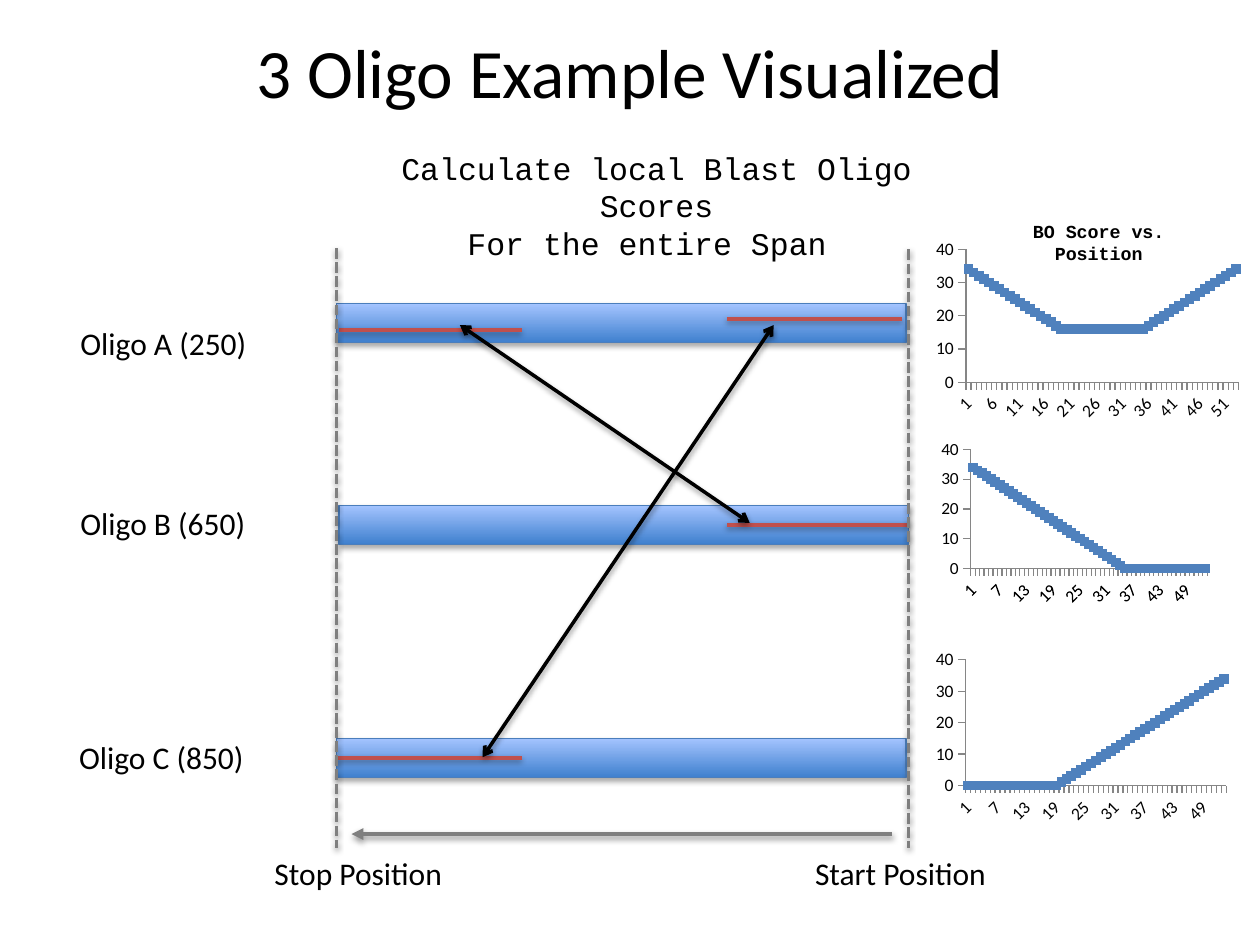
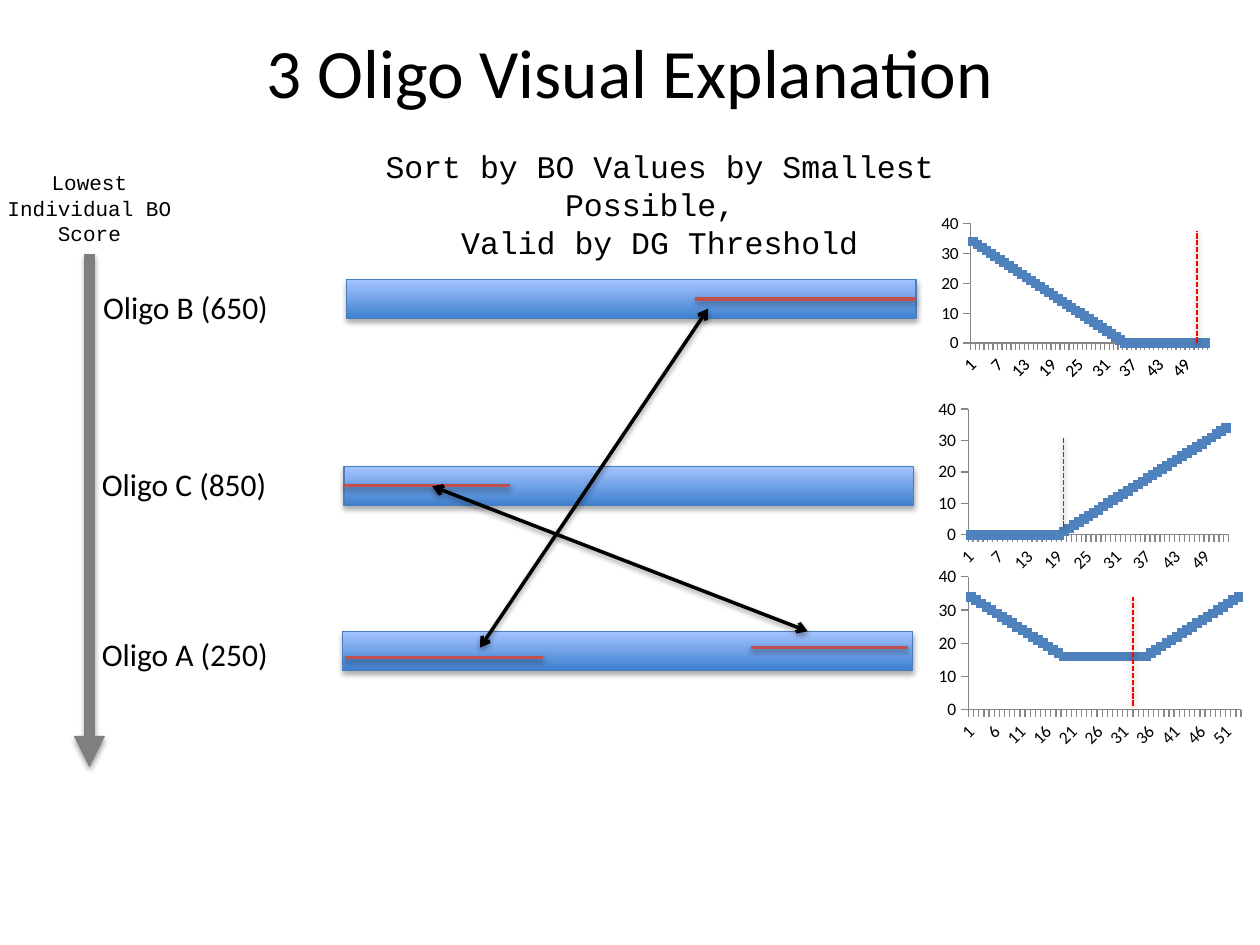
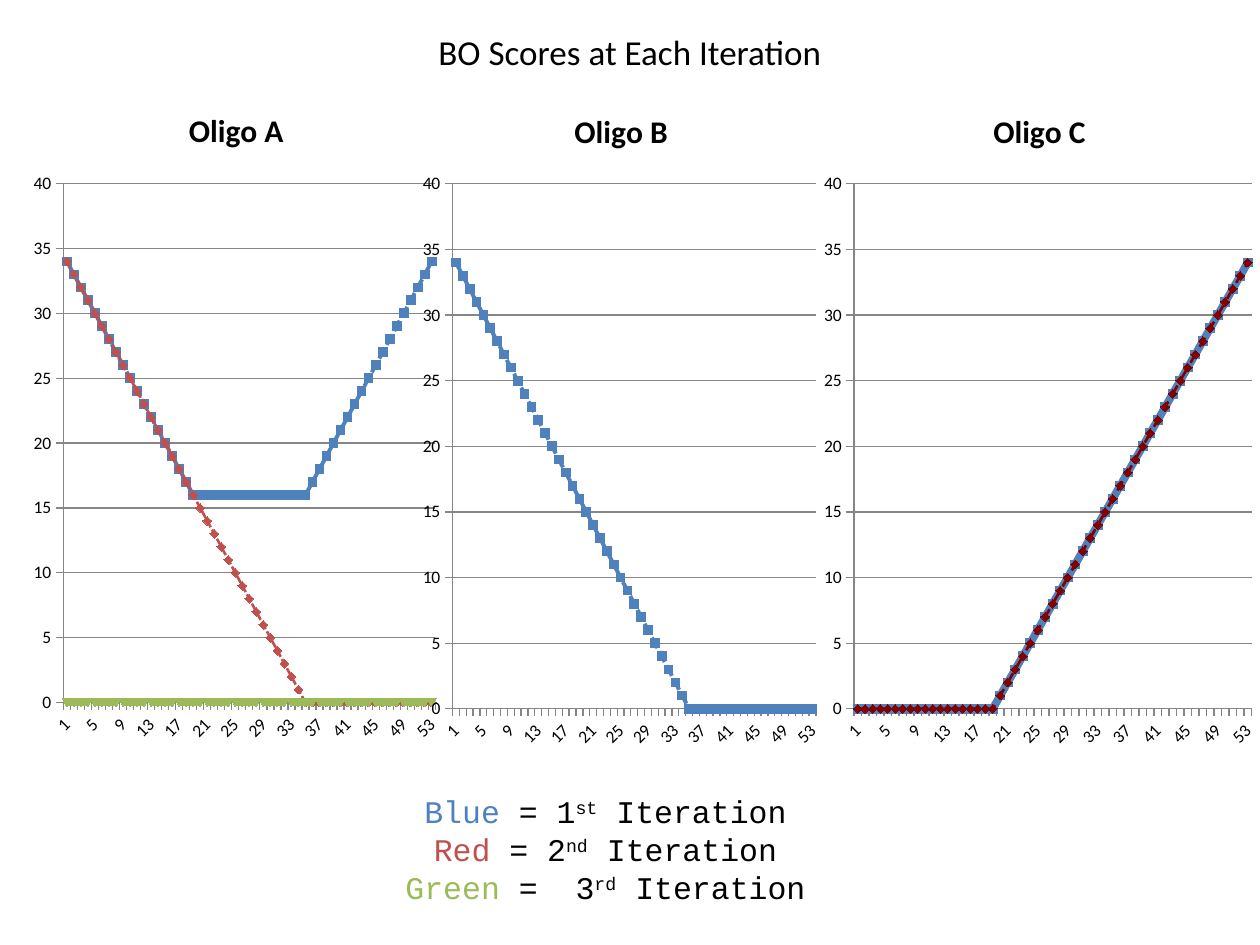
from dataclasses import dataclass
from lxml import etree
from pptx import Presentation
from pptx.chart.data import CategoryChartData
from pptx.dml.color import RGBColor
from pptx.enum.chart import XL_CHART_TYPE, XL_TICK_MARK
from pptx.enum.dml import MSO_LINE
from pptx.enum.shapes import MSO_CONNECTOR, MSO_SHAPE
from pptx.enum.text import MSO_ANCHOR, MSO_AUTO_SIZE, PP_ALIGN
from pptx.oxml.ns import qn
from pptx.util import Inches, Pt

LINE = XL_CHART_TYPE.LINE
OUT, NONE = XL_TICK_MARK.OUTSIDE, XL_TICK_MARK.NONE
DOTS, DASH = MSO_LINE.SQUARE_DOT, MSO_LINE.DASH
STRAIGHT, RECT = MSO_CONNECTOR.STRAIGHT, MSO_SHAPE.RECTANGLE
LEFT, MID = PP_ALIGN.LEFT, PP_ALIGN.CENTER
WEST, EAST = 1, 3


@dataclass(frozen=True)
class Theme:
    sans: str = "Calibri"
    mono: str = "Courier New"
    ink: str = "000000"
    gray: str = "7F7F7F"
    axis: str = "868686"
    blue: str = "4F81BD"
    red: str = "C0504D"
    green: str = "9BBB59"
    wine: str = "800000"
    mark: str = "FF0000"
    edge: str = "4B7EBC"
    deep: str = "3F80CE"
    pale: str = "A4C4FF"
    head: float = 39.6
    sub: float = 20
    body: float = 18
    note: float = 12
    tag: float = 10.5
    tick: float = 10


T = Theme()
WIDE, HIGH = 10, 7.5
COLS = 100
CELL = WIDE / COLS
BAR = (45.2, 3.1)
LABEL = (15.3, 4)
TITLE = (5, 1.7, 90, 7.9)

FALL = [max(34 - i, 0) for i in range(53)]
RISE = FALL[::-1]
DIP = [max(16, a, b) for a, b in zip(FALL, RISE)]
ZERO = [0] * 53

OLIGOS = {
    "A": ("Oligo A (250)", DIP, (25, 15), None),
    "B": ("Oligo B (650)", FALL, (22, 13.2), (0.1, 0.06, 0.86, 0.74)),
    "C": ("Oligo C (850)", RISE, (24, 14.4), None),
}

VISUAL = {
    "title": "3 Oligo Example Visualized",
    "note": ((27.5, 11.3, 49.2, 7.1), ["Calculate local Blast Oligo Scores", "For the entire Span "]),
    "bars": {"A": (26.7, 24.1), "B": (26.9, 40.1), "C": (26.7, 58.6)},
    "spans": [("A", 26.9, 41.4, 26.2, None), ("B", 57.7, 72.1, None, EAST),
              ("C", 26.7, 41.4, None, WEST), ("A", 57.7, 71.6, 25.3, None)],
    "links": [(61.4, 25.8, 38.3, 60.1), (36.5, 25.8, 59.5, 41.5)],
    "labels": {"A": (5.4, 25.2), "B": (5.4, 39.5), "C": (5.3, 58.1)},
    "charts": {"A": (73.8, 18.7), "B": (74.7, 34.9), "C": (73.8, 51.3)},
}

SORTED = {
    "title": "3 Oligo Visual Explanation",
    "note": ((24.3, 11.2, 56.1, 7.1), ["Sort by BO Values by Smallest Possible, ", "Valid by DG Threshold"]),
    "bars": {"A": (27.2, 50.1), "B": (27.5, 22.2), "C": (27.3, 37)},
    "spans": [("A", 27.4, 43.1, 52.2, None), ("B", 55.2, 72.7, None, EAST),
              ("C", 27.3, 40.5, None, WEST), ("A", 59.6, 72.1, 51.4, None)],
    "links": [(56.2, 24.5, 38.1, 51.4), (64.1, 50.1, 34.3, 38.6)],
    "labels": {"A": (7.1, 49.9), "B": (7.2, 22.4), "C": (7.1, 36.4)},
    "charts": {"A": (74, 44.7), "B": (74.7, 17), "C": (74, 31.4)},
}

ENDS = [("Start Position", (63.7, 67.3, 15.8, 4)), ("Stop Position", (20.8, 67.3, 15.5, 4))]
GUIDES = [(26.7, 19.7), (72.1, 19.8)]
MARKS = [(95, 27.2, 18.3), (84.4, 41.8, 34.7), (89.9, 56, 47.4)]

ROUNDS = [
    ("Oligo A", (2, 6.6, 33.5, 53.3), [
        ("Series 1", DIP, T.blue, 2.25, DOTS),
        ("Series 2", FALL, T.red, 1.5, DOTS),
        ("Series 3", ZERO, T.green, 4, DOTS)]),
    ("Oligo B", (32.9, 6.6, 32.8, 53.8), [("Series 1", FALL, T.blue, 2.25, DOTS)]),
    ("Oligo C", (64.7, 6.6, 35.6, 53.8), [
        ("Oligo C", RISE, T.blue, 4.5, None),
        ("Series 2", RISE, T.wine, 1.5, DASH)]),
]
KEY = [("Blue ", T.blue, "= 1", "st"), ("Red", T.red, " = 2", "nd"), ("Green", T.green, " =  3", "rd")]


def grid(*vals):
    return [Inches(v * CELL) for v in vals]


def rgb(code):
    return RGBColor.from_string(code)


def shade(item, alpha, dist):
    fx = etree.SubElement(item._element.spPr, qn("a:effectLst"))
    cast = etree.SubElement(fx, qn("a:outerShdw"), blurRad="40000", dist=str(dist),
                            dir="5400000", rotWithShape="0")
    ink = etree.SubElement(cast, qn("a:srgbClr"), val=T.ink)
    etree.SubElement(ink, qn("a:alpha"), val=str(alpha * 1000))


def pen(line, color, width, dash=None):
    line.color.rgb = rgb(color)
    line.width = Pt(width)
    if dash:
        line.dash_style = dash


def draw(slide, ends, color, width, dash=None, head=None, tail=None):
    item = slide.shapes.add_connector(STRAIGHT, *grid(*ends))
    pen(item.line, color, width, dash)
    for tag, kind in (("a:headEnd", head), ("a:tailEnd", tail)):
        if kind:
            etree.SubElement(item.line._get_or_add_ln(), qn(tag), type=kind)
    shade(item, 38, 20000)
    return item


def write(slide, box, lines, size, font=T.sans, align=LEFT, wrap=True, bold=False, grow=True):
    frame = slide.shapes.add_textbox(*grid(*box)).text_frame
    frame.word_wrap = wrap
    frame.auto_size = MSO_AUTO_SIZE.SHAPE_TO_FIT_TEXT if grow else MSO_AUTO_SIZE.NONE
    frame.vertical_anchor = MSO_ANCHOR.TOP if grow else MSO_ANCHOR.MIDDLE
    for i, runs in enumerate(lines):
        para = frame.paragraphs[0] if i == 0 else frame.add_paragraph()
        para.alignment = align
        for text, color, lift in [(runs, T.ink, False)] if isinstance(runs, str) else runs:
            run = para.add_run()
            run.text = text
            run.font.name, run.font.size, run.font.bold = font, Pt(size), bold
            run.font.color.rgb = rgb(color)
            if lift:
                run._r.get_or_add_rPr().set("baseline", "30000")


def head(slide, text, size=T.head, box=TITLE):
    write(slide, box, [text], size, align=MID, grow=False)


def place(chart, plot):
    area = chart._chartSpace.chart.plotArea
    old = area.find(qn("c:layout"))
    if old is not None:
        area.remove(old)
    lay = etree.Element(qn("c:layout"))
    area.insert(0, lay)
    man = etree.SubElement(lay, qn("c:manualLayout"))
    rules = [("layoutTarget", "inner"), ("xMode", "edge"), ("yMode", "edge")]
    for tag, val in rules + list(zip("xywh", plot)):
        etree.SubElement(man, qn("c:" + tag), val=str(val))


def plot(slide, box, series, step, title=None, inner=None):
    data = CategoryChartData()
    data.categories = [str(i + 1) for i in range(len(ZERO))]
    for name, vals, *_ in series:
        data.add_series(name, vals)
    chart = slide.shapes.add_chart(LINE, *grid(*box), data).chart
    chart.has_legend = False
    chart.font.name, chart.font.size = T.sans, Pt(T.tick)
    chart.font.color.rgb = rgb(T.ink)
    chart.has_title = bool(title)
    if title:
        run = chart.chart_title.text_frame.paragraphs[0].add_run()
        run.text = title
        run.font.name, run.font.size, run.font.bold = T.sans, Pt(T.body), True
        run.font.color.rgb = rgb(T.ink)
    chart.plots[0].vary_by_categories = False
    for axis in (chart.category_axis, chart.value_axis):
        axis.major_tick_mark, axis.minor_tick_mark = OUT, NONE
        pen(axis.format.line, T.axis, 0.75)
    axis = chart.value_axis
    axis.minimum_scale, axis.maximum_scale, axis.major_unit = 0, 40, step
    axis.has_major_gridlines = bool(title)
    if title:
        pen(axis.major_gridlines.format.line, T.axis, 0.75)
    for item, (_, _, color, width, dash) in zip(chart.plots[0].series, series):
        item.smooth = False
        item.marker.style = None
        pen(item.format.line, color, width, dash)
    if inner:
        place(chart, inner)


def bar(slide, spot):
    item = slide.shapes.add_shape(RECT, *grid(*spot, *BAR))
    item.fill.gradient()
    item.fill.gradient_angle = 90
    for stop, color in zip(item.fill.gradient_stops, (T.deep, T.pale)):
        stop.color.rgb = rgb(color)
    pen(item.line, T.edge, 0.75)
    shade(item, 35, 23000)
    return item


def oligos(slide, page):
    bars = {key: bar(slide, spot) for key, spot in page["bars"].items()}
    for key, start, stop, row, side in page["spans"]:
        if row is None:
            row = page["bars"][key][1] + BAR[1] / 2
        span = draw(slide, (start, row, stop, row), T.red, 2)
        if side == WEST:
            span.begin_connect(bars[key], WEST)
        elif side == EAST:
            span.end_connect(bars[key], EAST)
    for ends in page["links"]:
        draw(slide, ends, T.ink, 2, head="arrow", tail="arrow")
    head(slide, page["title"])
    box, lines = page["note"]
    write(slide, box, lines, T.body, T.mono, MID)
    for key, (text, vals, size, inner) in OLIGOS.items():
        write(slide, page["labels"][key] + LABEL, [text], T.body, wrap=False)
        plot(slide, page["charts"][key] + size, [("Series 1", vals, T.blue, 3.5, None)], 10, inner=inner)


def main():
    deck = Presentation()
    deck.slide_width, deck.slide_height = Inches(WIDE), Inches(HIGH)
    first, second, third = [deck.slides.add_slide(deck.slide_layouts[6]) for _ in range(3)]

    oligos(first, VISUAL)
    write(first, (77.7, 17, 19, 2.8), ["BO Score vs. Position"], T.tag, T.mono, MID, bold=True)
    for text, box in ENDS:
        write(first, box, [text], T.body, wrap=False)
    for col, top in GUIDES:
        draw(first, (col, top, col, 67.3), T.gray, 2, DOTS)
    draw(first, (70.8, 66.2, 27.9, 66.2), T.gray, 2.25, tail="triangle")

    oligos(second, SORTED)
    write(second, (-0.4, 13, 15, 7.1), ["Lowest Individual BO Score"], T.note, T.mono, MID)
    draw(second, (7.1, 20.2, 7.1, 60.9), T.gray, 6, tail="triangle")
    for col, base, top in MARKS:
        draw(second, (col, base, col, top), T.mark, 1, DOTS)

    for title, box, series in ROUNDS:
        plot(third, box, series, 5, title)
    head(third, "BO Scores at Each Iteration", T.sub, (5, 2, 90, 4.1))
    lines = [[(name, color, False), (count, T.ink, False), (rank, T.ink, True),
              (" Iteration", T.ink, False)] for name, color, count, rank in KEY]
    write(third, (24.4, 62.4, 47.3, 10.1), lines, T.body, T.mono, MID)

    deck.save("out.pptx")


if __name__ == "__main__":
    main()
